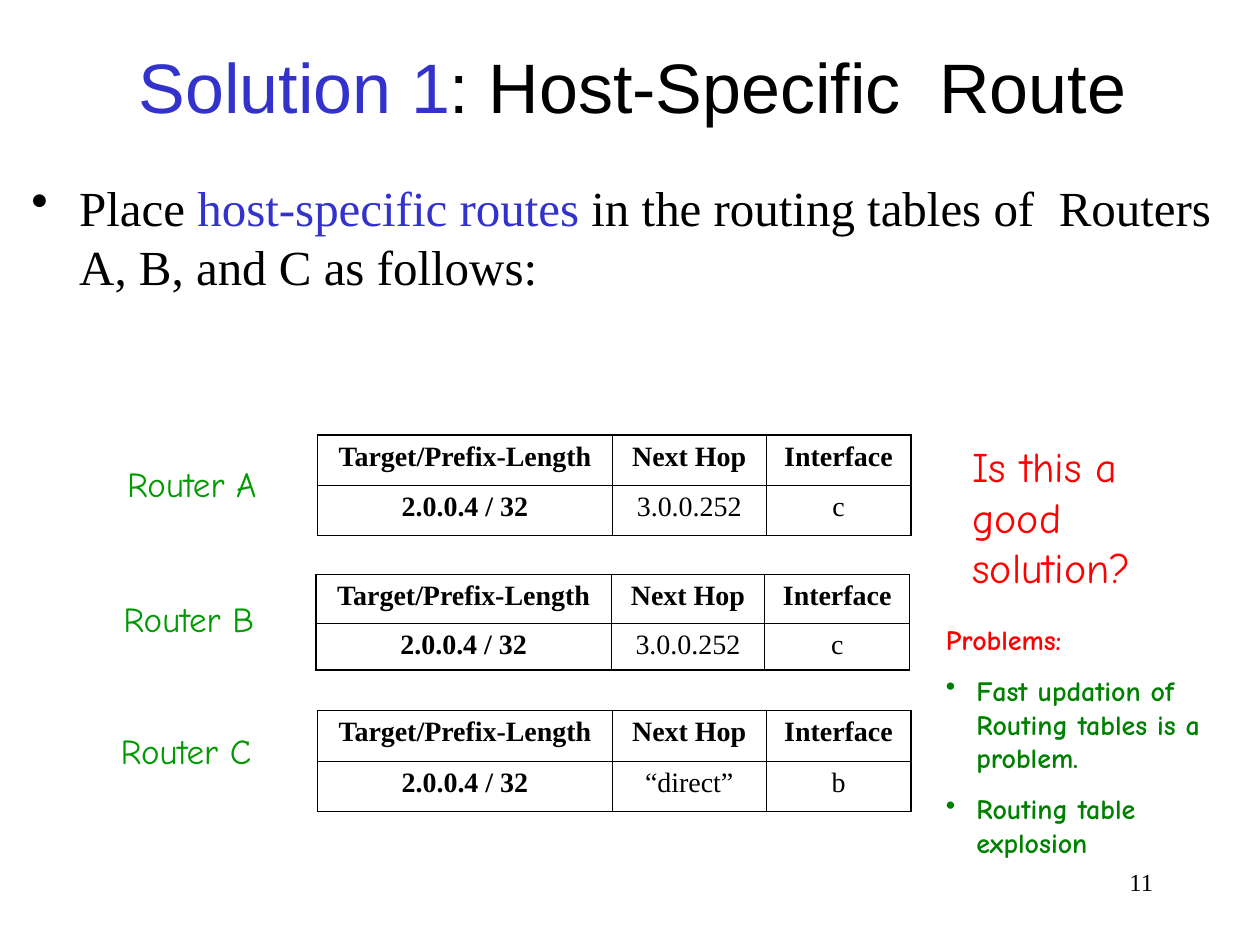
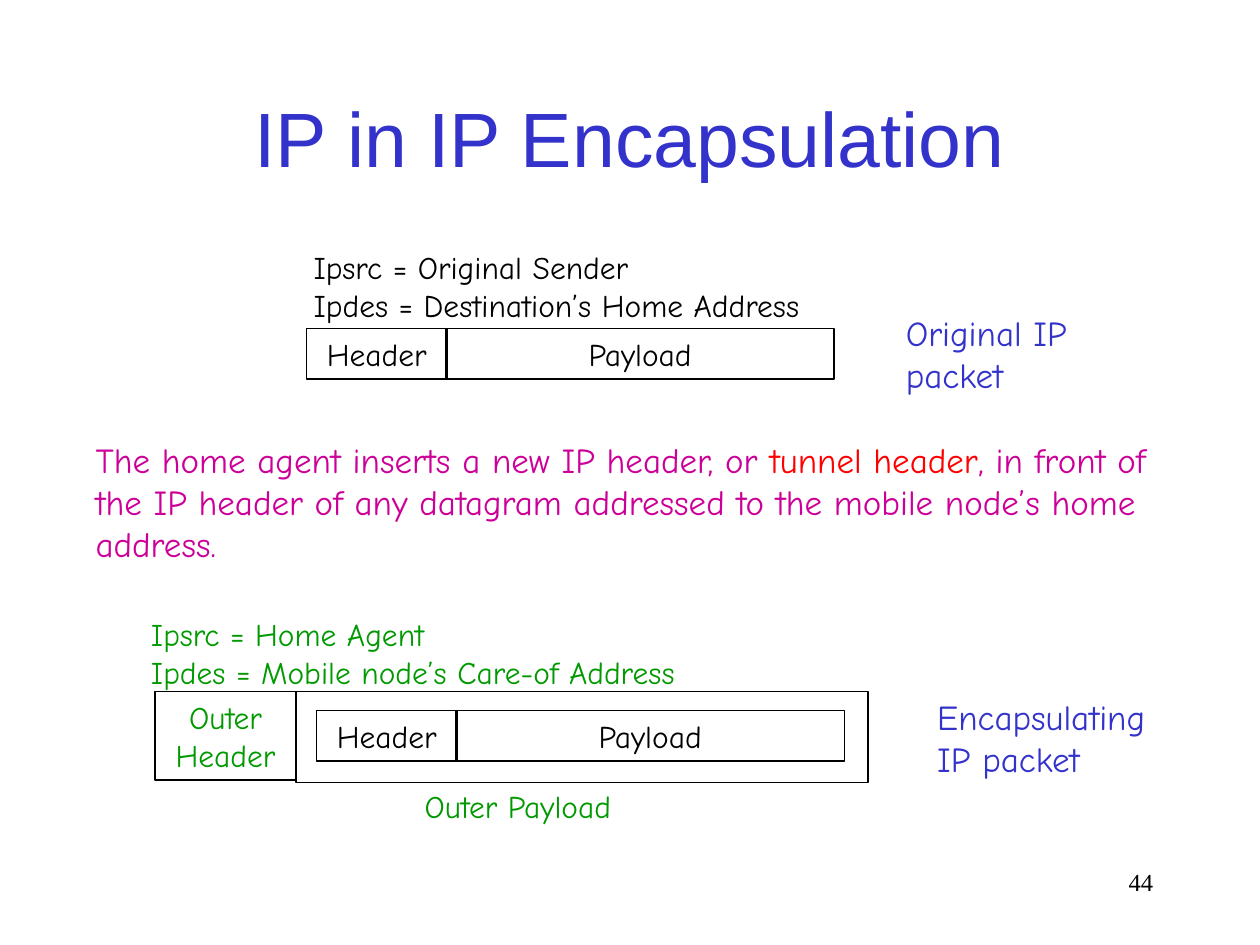
"""Build two mobile IP slides: host-specific routes and IP in IP encapsulation."""
from typing import NamedTuple

from lxml import etree
from pptx import Presentation
from pptx.dml.color import RGBColor
from pptx.enum import shapes, text
from pptx.oxml import ns
from pptx.util import Inches, Pt

BLACK = RGBColor(0x00, 0x00, 0x00)
BLUE = RGBColor(0x33, 0x33, 0xCC)
GREEN = RGBColor(0x00, 0x99, 0x00)
DARK_GREEN = RGBColor(0x00, 0x80, 0x00)
RED = RGBColor(0xFF, 0x00, 0x00)
MAGENTA = RGBColor(0xCC, 0x00, 0x99)
SANS, SERIF, COMIC = "Arial", "Times New Roman", "Comic Neue"
LEFT, CENTER, RIGHT = text.PP_ALIGN.LEFT, text.PP_ALIGN.CENTER, text.PP_ALIGN.RIGHT

OUTER_BORDER, INNER_BORDER = Pt(1.08), Pt(0.45)
ROUTE_COLUMNS = (2.34, 1.22, 1.15)
ROUTE_HEADINGS = ("Target/Prefix-Length", "Next Hop", "Interface")
HEADER_WIDTH, PAYLOAD_WIDTH, PACKET_HEIGHT = 1.12, 3.08, 0.4


class Area(NamedTuple):
    """Left, top, width and height in inches."""
    left: float
    top: float
    width: float
    height: float

    def lengths(self) -> list:
        """Return the four values as lengths."""
        return [Inches(value) for value in self]


class Style(NamedTuple):
    """Look of a passage."""
    size: float
    font: str = COMIC
    bold: bool = False
    align: text.PP_ALIGN = LEFT


class Phrase(NamedTuple):
    """Coloured stretch of a line."""
    words: str
    color: RGBColor = BLACK


class Line(NamedTuple):
    """Paragraph with an optional bullet indent in inches and gap in points."""
    phrases: tuple
    bullet_indent: float = 0
    gap: float = 0


class Router(NamedTuple):
    """Router name, its place, and its routing table."""
    name: str
    name_left: float
    name_top: float
    table_left: float
    table_top: float
    row_heights: tuple
    route: tuple


class Note(NamedTuple):
    """Text box with one or more lines."""
    area: Area
    style: Style
    lines: tuple


def plain(words: str, color: RGBColor = BLACK) -> Line:
    """Return a line in one colour."""
    return Line((Phrase(words, color),))


def add_bullet(paragraph, indent: float, color: RGBColor) -> None:
    """Give the paragraph a round bullet with a hanging indent."""
    properties = paragraph._p.get_or_add_pPr()
    properties.set("marL", str(Inches(indent)))
    properties.set("indent", str(-Inches(indent)))
    bullet_color = etree.SubElement(properties, ns.qn("a:buClr"))
    etree.SubElement(bullet_color, ns.qn("a:srgbClr"), val=str(color))
    etree.SubElement(properties, ns.qn("a:buChar"), char="•")


def write(frame, style: Style, lines: tuple) -> None:
    """Fill a text frame with styled lines."""
    frame.word_wrap = True
    for index, line in enumerate(lines):
        paragraph = frame.add_paragraph() if index else frame.paragraphs[0]
        paragraph.alignment = style.align
        if line.gap:
            paragraph.space_before = Pt(line.gap)
        if line.bullet_indent:
            add_bullet(paragraph, line.bullet_indent, line.phrases[0].color)
        for phrase in line.phrases:
            run = paragraph.add_run()
            run.text = phrase.words
            run.font.name, run.font.size = style.font, Pt(style.size)
            run.font.bold, run.font.color.rgb = style.bold, phrase.color


def add_note(slide, note: Note) -> None:
    """Add a text box."""
    box = slide.shapes.add_textbox(*note.area.lengths())
    write(box.text_frame, note.style, note.lines)


def add_box(slide, area: Area, *lines: Line) -> None:
    """Add an outlined rectangle with optional centred text."""
    box = slide.shapes.add_shape(shapes.MSO_SHAPE.RECTANGLE, *area.lengths())
    box.shadow.inherit = False
    box.fill.background()
    box.line.color.rgb, box.line.width = BLACK, Pt(0.75)
    if lines:
        box.text_frame.vertical_anchor = text.MSO_ANCHOR.TOP
        write(box.text_frame, Style(18, align=CENTER), lines)


def add_packet(slide, left: float, top: float) -> None:
    """Add a header box followed by a payload box."""
    payload_left = left + HEADER_WIDTH - 0.01
    add_box(slide, Area(left, top, HEADER_WIDTH, PACKET_HEIGHT), plain("Header"))
    add_box(slide, Area(payload_left, top, PAYLOAD_WIDTH, PACKET_HEIGHT), plain("Payload"))


def add_borders(cell, row: int, column: int) -> None:
    """Draw thick lines around the table and thin lines inside it."""
    properties = cell._tc.get_or_add_tcPr()
    outer = {"L": column == 0, "R": column == 2, "T": row == 0, "B": row == 1}
    for side, is_outer in outer.items():
        width = OUTER_BORDER if is_outer else INNER_BORDER
        border = etree.SubElement(properties, ns.qn(f"a:ln{side}"), w=str(width))
        fill = etree.SubElement(border, ns.qn("a:solidFill"))
        etree.SubElement(fill, ns.qn("a:srgbClr"), val=str(BLACK))


def add_router(slide, router: Router) -> None:
    """Add a router's name and routing table."""
    add_note(slide, Note(Area(router.name_left, router.name_top, 1.99, 0.44), Style(20),
                         (plain(router.name, GREEN),)))
    area = Area(router.table_left, router.table_top, sum(ROUTE_COLUMNS), sum(router.row_heights))
    table = slide.shapes.add_table(2, 3, *area.lengths()).table
    table.first_row = table.horz_banding = False
    for column, width in zip(table.columns, ROUTE_COLUMNS):
        column.width = Inches(width)
    for row, height in zip(table.rows, router.row_heights):
        row.height = Inches(height)
    for r, entries in enumerate((ROUTE_HEADINGS, router.route)):
        for c, entry in enumerate(entries):
            cell = table.cell(r, c)
            add_borders(cell, r, c)
            cell.fill.background()
            style = Style(16, SERIF, bold=r == 0 or c == 0, align=CENTER)
            write(cell.text_frame, style, (plain(entry),))


def start_slide(deck, area: Area, size: float, title: Line, number: str):
    """Add a slide with its title and page number."""
    slide = deck.slides.add_slide(deck.slide_layouts[5])
    heading = slide.shapes.title
    heading.left, heading.top, heading.width, heading.height = area.lengths()
    heading.text_frame.auto_size = text.MSO_AUTO_SIZE.NONE
    heading.text_frame.vertical_anchor = text.MSO_ANCHOR.MIDDLE
    write(heading.text_frame, Style(size, SANS, align=CENTER), (title,))
    add_note(slide, Note(Area(7.17, 6.83, 2.08, 0.5), Style(14, SERIF, align=RIGHT),
                         (plain(number),)))
    return slide


def build_host_routes(deck) -> None:
    """Build the host-specific route slide."""
    title = Line((Phrase("Solution 1", BLUE), Phrase(": Host-Specific  Route")))
    slide = start_slide(deck, Area(0.77, 0.31, 8.5, 0.74), 40, title, "11")
    routers = (
        Router("Router A", 0.91, 3.62, 2.52, 3.45, (0.4, 0.4), ("2.0.0.4 / 32", "3.0.0.252", "c")),
        Router("Router B", 0.88, 4.69, 2.51, 4.56, (0.39, 0.37), ("2.0.0.4 / 32", "3.0.0.252", "c")),
        Router("Router C", 0.86, 5.74, 2.52, 5.64, (0.4, 0.4), ("2.0.0.4 / 32", "“direct”", "b")),
    )
    for router in routers:
        add_router(slide, router)
    advice = Line((Phrase("Place "), Phrase("host-specific routes", BLUE),
                   Phrase(" in the routing tables of  Routers A, B, and C as follows:")), 0.38)
    problems = (
        plain("Problems:", RED),
        Line((Phrase("Fast updation of Routing tables is a problem.", DARK_GREEN),), 0.24, 10),
        Line((Phrase("Routing table explosion", DARK_GREEN),), 0.24, 10),
    )
    notes = (
        Note(Area(0.15, 1.36, 9.68, 1.2), Style(28, SERIF), (advice,)),
        Note(Area(7.62, 3.45, 1.65, 1.3), Style(24), (plain("Is this a good solution?", RED),)),
        Note(Area(7.41, 4.89, 2.4, 1.98), Style(16, bold=True), problems),
    )
    for note in notes:
        add_note(slide, note)


def build_encapsulation(deck) -> None:
    """Build the IP in IP encapsulation slide."""
    title = plain("IP in IP Encapsulation", BLUE)
    slide = start_slide(deck, Area(0.75, 0.67, 8.5, 0.83), 44, title, "44")
    add_packet(slide, 2.43, 2.61)
    add_box(slide, Area(2.35, 5.49, 4.54, 0.72))
    add_box(slide, Area(1.23, 5.49, HEADER_WIDTH, 0.7), plain("Outer Header", GREEN))
    add_packet(slide, 2.51, 5.64)
    tunnel = Line((
        Phrase("The home agent inserts a new IP header, or ", MAGENTA),
        Phrase("tunnel header", RED),
        Phrase(", in front of the IP header of any datagram addressed to the mobile node’s"
               " home address.", MAGENTA),
    ))
    notes = (
        Note(Area(2.39, 1.92, 4.78, 0.7), Style(18),
             (plain("Ipsrc = Original Sender"), plain("Ipdes = Destination’s Home Address"))),
        Note(Area(7.09, 2.42, 1.69, 0.77), Style(20), (plain("Original IP packet", BLUE),)),
        Note(Area(0.66, 3.43, 8.88, 1.1), Style(20), (tunnel,)),
        Note(Area(1.1, 4.83, 5.13, 0.7), Style(18),
             (plain("Ipsrc = Home Agent", GREEN),
              plain("Ipdes = Mobile node’s Care-of Address", GREEN))),
        Note(Area(7.34, 5.47, 1.97, 0.77), Style(20), (plain("Encapsulating IP packet", BLUE),)),
        Note(Area(2.57, 6.2, PAYLOAD_WIDTH, 0.4), Style(18, align=CENTER),
             (plain("Outer Payload", GREEN),)),
    )
    for note in notes:
        add_note(slide, note)


def main() -> None:
    """Build and save the deck."""
    deck = Presentation()
    deck.slide_width, deck.slide_height = Inches(10), Inches(7.5)
    build_host_routes(deck)
    build_encapsulation(deck)
    deck.save("out.pptx")


if __name__ == "__main__":
    main()
